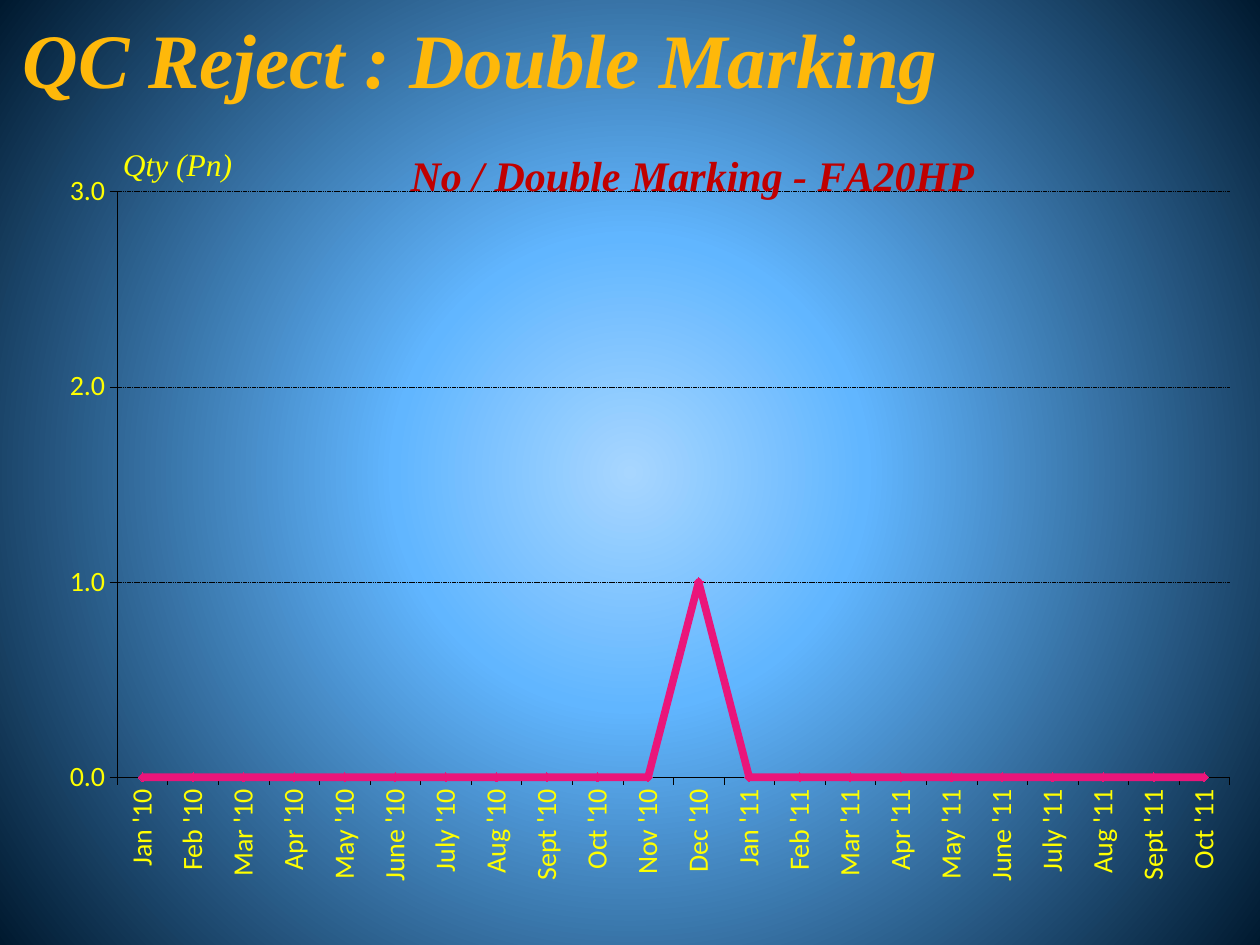
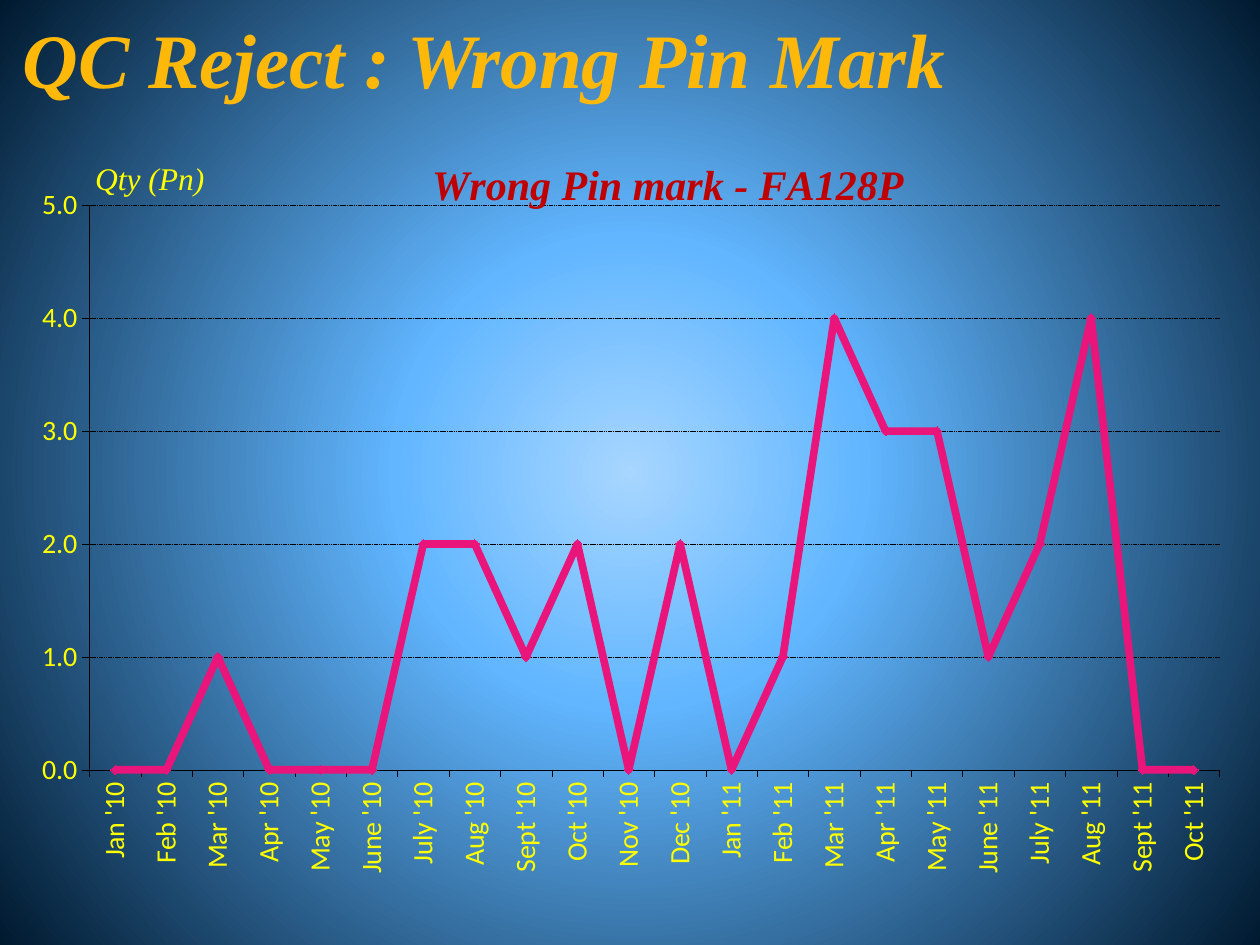
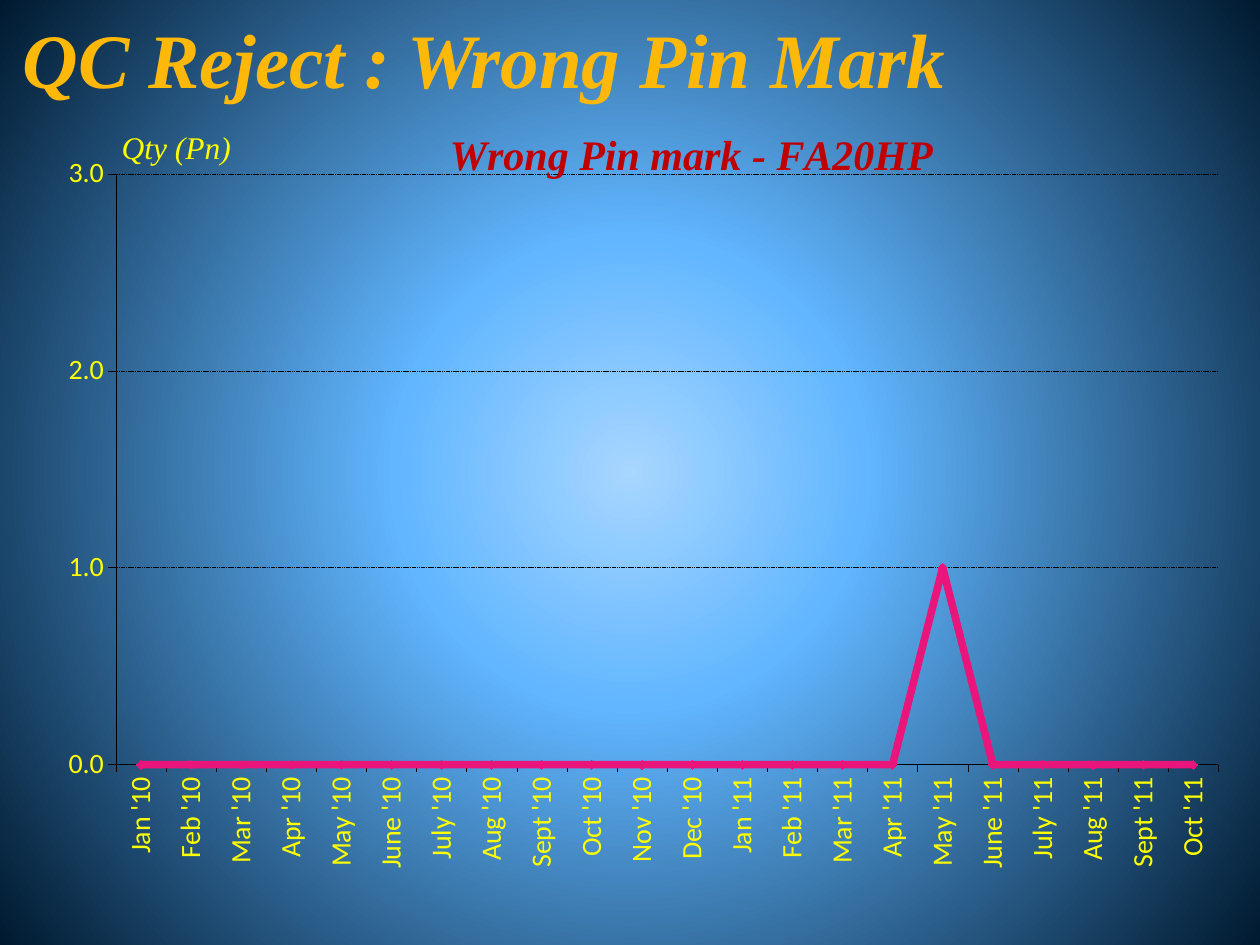
from dataclasses import dataclass

import pptx
import pptx.chart.data
import pptx.dml.color
import pptx.enum.chart
import pptx.enum.dml
import pptx.enum.text
import pptx.oxml
import pptx.oxml.ns
import pptx.util

EMU_PER_PX = 9144  # 100 px to the inch
SERIF = "Times New Roman"
SANS = "Calibri"
GOLD, YELLOW, RED, PINK, BLACK = "FEB80A", "FFFF00", "C00000", "EA157A", "000000"
BACKGROUND_STOPS = [(0, "A7D6FF"), (30, "61B6FF"), (100, "00192F")]
QUANTITY_RISE = 41  # from the top of the plot up to the quantity label

MONTHS = ["Jan", "Feb", "Mar", "Apr", "May", "June", "July", "Aug", "Sept", "Oct", "Nov", "Dec"]
PERIODS = [f"{month} '{year}" for year in (10, 11) for month in MONTHS][:22]


@dataclass(frozen=True)
class Box:
    left: int
    top: int
    width: int = 0
    height: int = 0


@dataclass(frozen=True)
class RejectSlide:
    title: str
    chart_title: str
    chart: Box
    plot: Box
    chart_title_at: Box
    maximum: int
    values: list[int]


def single_reject(period: str) -> list[int]:
    return [int(name == period) for name in PERIODS]


REJECT_SLIDES = [
    RejectSlide("QC Reject : Double Marking", "No / Double Marking - FA20HP",
                Box(23, 102, 961, 633), Box(93, 152, 883, 465),
                Box(320, 112), 3, single_reject("Dec '10")),
    RejectSlide("QC Reject : Wrong Pin Mark", "Wrong Pin mark - FA128P",
                Box(0, 109, 977, 617), Box(71, 163, 897, 448),
                Box(337, 119), 5,
                [0, 0, 1, 0, 0, 0, 2, 2, 1, 2, 0, 2, 0, 1, 4, 3, 3, 1, 2, 4, 0, 0]),
    RejectSlide("QC Reject : Wrong Pin Mark", "Wrong Pin mark - FA20HP",
                Box(23, 86, 953, 641), Box(92, 138, 875, 469),
                Box(351, 95), 3, single_reject("May '11")),
]


def px(length: int) -> pptx.util.Emu:
    return pptx.util.Emu(length * EMU_PER_PX)


def emu_box(box: Box) -> list[pptx.util.Emu]:
    return [px(length) for length in (box.left, box.top, box.width, box.height)]


def color(value: str) -> pptx.dml.color.RGBColor:
    return pptx.dml.color.RGBColor.from_string(value)


def style_font(font, name: str, size: float, fill: str, bold: bool = False, italic: bool = False) -> None:
    font.name, font.size = name, pptx.util.Pt(size)
    font.bold, font.italic = bold, italic
    font.color.rgb = color(fill)


def style_line(line, fill: str, width: float) -> None:
    line.color.rgb = color(fill)
    line.width = pptx.util.Pt(width)


def add_run(text_frame, text: str, size: float, fill: str, bold: bool = True) -> None:
    run = text_frame.paragraphs[0].add_run()
    run.text = text
    style_font(run.font, SERIF, size, fill, bold, italic=True)


def set_background(master) -> None:
    """Give every slide the radial blue gradient."""
    master.background.fill.gradient()
    gradient = master.element.xpath("./p:cSld/p:bg/p:bgPr/a:gradFill")[0]
    stops = "".join(
        f'<a:gs pos="{position * 1000}"><a:srgbClr val="{fill}"/></a:gs>'
        for position, fill in BACKGROUND_STOPS)
    radial = pptx.oxml.parse_xml(
        f'<a:gradFill {pptx.oxml.ns.nsdecls("a")} rotWithShape="1"><a:gsLst>{stops}</a:gsLst>'
        '<a:path path="circle"><a:fillToRect l="50000" t="50000" r="50000" b="50000"/></a:path>'
        '</a:gradFill>')
    gradient.getparent().replace(gradient, radial)


def place_in_chart(element, index: int, box: Box, chart: Box) -> None:
    """Lay out a chart part at a slide position, as shares of the chart."""
    for layout in element.xpath("./c:layout"):
        element.remove(layout)
    settings = [("xMode", "edge"), ("yMode", "edge")]
    if box.width:
        settings.insert(0, ("layoutTarget", "inner"))
    settings += [("x", (box.left - chart.left) / chart.width),
                 ("y", (box.top - chart.top) / chart.height)]
    if box.width:
        settings += [("w", box.width / chart.width), ("h", box.height / chart.height)]
    parts = "".join(f'<c:{name} val="{value}"/>' for name, value in settings)
    element.insert(index, pptx.oxml.parse_xml(
        f'<c:layout {pptx.oxml.ns.nsdecls("c")}><c:manualLayout>{parts}</c:manualLayout></c:layout>'))


def add_title(slide, text: str) -> None:
    text_frame = slide.shapes.add_textbox(*emu_box(Box(8, 12, 895, 67))).text_frame
    text_frame.word_wrap = True
    text_frame.vertical_anchor = pptx.enum.text.MSO_ANCHOR.MIDDLE
    add_run(text_frame, text, 44, GOLD)


def style_axes(chart, maximum: int) -> None:
    for axis in (chart.category_axis, chart.value_axis):
        axis.major_tick_mark = pptx.enum.chart.XL_TICK_MARK.OUTSIDE
        axis.minor_tick_mark = pptx.enum.chart.XL_TICK_MARK.NONE
        style_font(axis.tick_labels.font, SANS, 16, YELLOW)
        style_line(axis.format.line, BLACK, 0.25)
    chart.element.xpath(".//c:catAx/c:txPr/a:bodyPr")[0].set("rot", "-5400000")

    value_axis = chart.value_axis
    value_axis.minimum_scale, value_axis.maximum_scale = 0, maximum
    value_axis.major_unit = 1
    value_axis.tick_labels.number_format = "0.0"
    value_axis.tick_labels.number_format_is_linked = False
    value_axis.has_major_gridlines = True
    grid_line = value_axis.major_gridlines.format.line
    style_line(grid_line, BLACK, 0.25)
    grid_line.dash_style = pptx.enum.dml.MSO_LINE.SQUARE_DOT


def style_series(chart) -> None:
    chart.plots[0].vary_by_categories = False
    series = chart.plots[0].series[0]
    series.smooth = False
    style_line(series.format.line, PINK, 4.33)
    series.marker.style = pptx.enum.chart.XL_MARKER_STYLE.DIAMOND
    series.marker.size = 5
    series.marker.format.fill.solid()
    series.marker.format.fill.fore_color.rgb = color(PINK)
    style_line(series.marker.format.line, PINK, 0.75)


def add_reject_chart(slide, content: RejectSlide) -> None:
    data = pptx.chart.data.CategoryChartData()
    data.categories = PERIODS
    data.add_series("Series 1", content.values)
    chart = slide.shapes.add_chart(
        pptx.enum.chart.XL_CHART_TYPE.LINE_MARKERS, *emu_box(content.chart), data).chart
    chart.has_legend = False
    style_font(chart.font, "Noto Sans CJK KR", 8.2, BLACK)
    style_axes(chart, content.maximum)
    style_series(chart)

    chart_title = chart.chart_title
    add_run(chart_title.text_frame, content.chart_title, 24, RED)
    place_in_chart(chart_title.element, 1, content.chart_title_at, content.chart)

    quantity_title = chart.value_axis.axis_title
    add_run(quantity_title.text_frame, "Qty (Pn)", 18, YELLOW, bold=False)
    body = quantity_title.element.xpath(".//a:bodyPr")[0]
    body.set("rot", "0")
    body.set("vert", "horz")
    quantity_at = Box(content.plot.left, content.plot.top - QUANTITY_RISE)
    place_in_chart(quantity_title.element, 1, quantity_at, content.chart)

    place_in_chart(chart.element.xpath(".//c:plotArea")[0], 0, content.plot, content.chart)


def main() -> None:
    presentation = pptx.Presentation()
    presentation.slide_width, presentation.slide_height = px(1000), px(750)
    set_background(presentation.slide_master)
    for content in REJECT_SLIDES:
        slide = presentation.slides.add_slide(presentation.slide_layouts[6])
        add_title(slide, content.title)
        add_reject_chart(slide, content)
    presentation.save("out.pptx")


if __name__ == "__main__":
    main()
